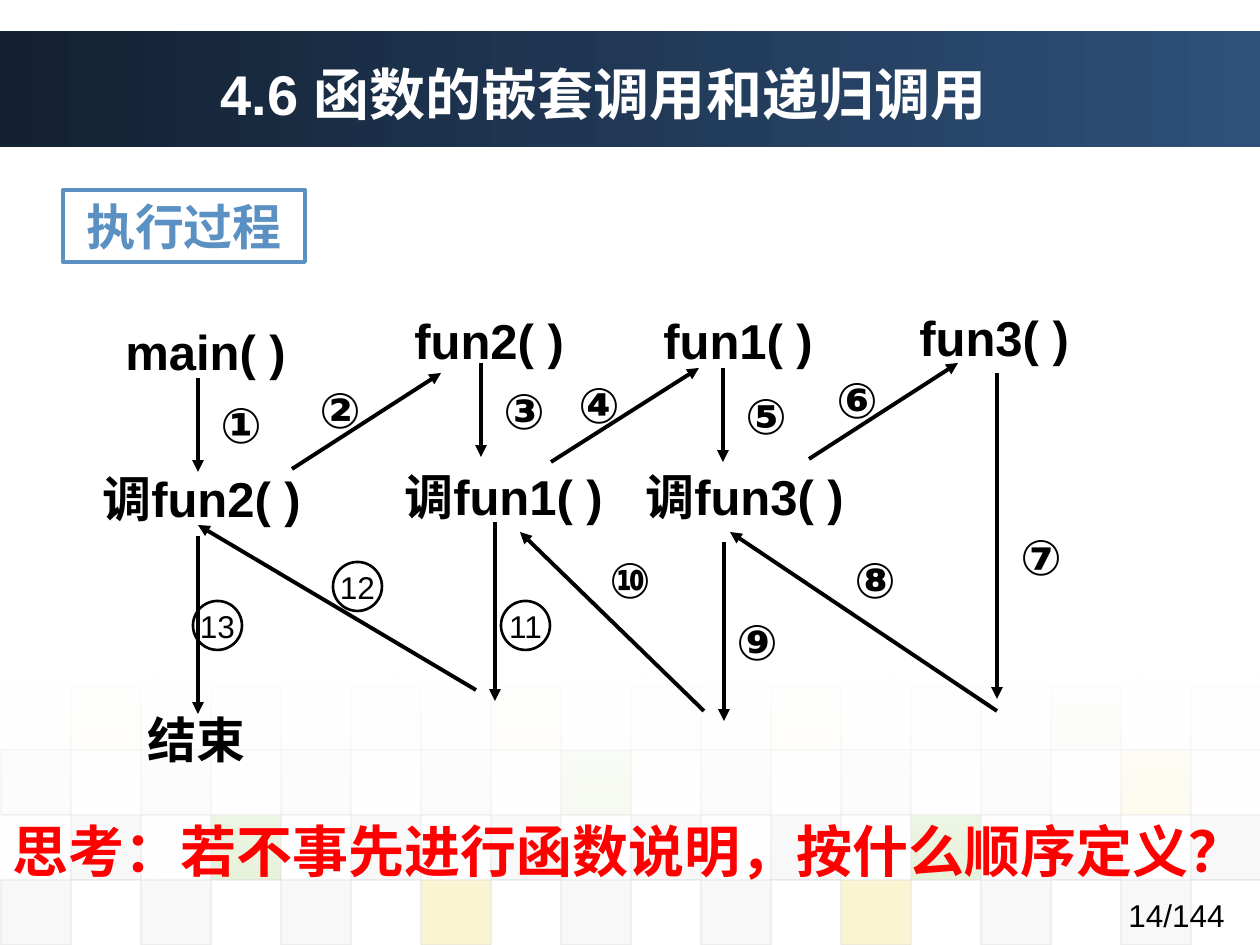
import pptx
import pptx.util
import pptx.dml.color
import pptx.enum.shapes
import pptx.enum.text
import pptx.oxml.ns
from lxml import etree

PX = 914400 / 126
SHAPES = pptx.enum.shapes.MSO_SHAPE
ALIGN = pptx.enum.text.PP_ALIGN
ANCHOR = pptx.enum.text.MSO_ANCHOR
qn = pptx.oxml.ns.qn

TILE_COLOURS = {"D": "DDDDDD", "L": "EAEAEA", "Y": "EFC821", "G": "8AC246"}
# Per row: first column, fill opacity in percent, colours of every second tile
TILE_ROWS = [
    (1, 5, "YLLYDYLGL"),
    (0, 10, "DDDDGDDDY"),
    (1, 20, "DGDDDDGDD"),
    (0, 20, "DDDYDDYDD"),
]

# Function names and calls: text, left, top
CALLS = [
    ("main( )", 23, 15), ("fun2( )", 312, 4), ("fun1( )", 561, 4), ("fun3( )", 817, 1),
    ("调fun2( )", 0, 162), ("调fun1( )", 302, 160), ("调fun3( )", 543, 160),
    ("结束", 45, 403),
]

# Steps in order: number, its left and top, arrow start and end
STEPS = [
    ("①", 118, 88, (108, 78), (108, 172)),
    ("②", 217, 73, (202, 169), (351, 73)),
    ("③", 401, 74, (391, 63), (391, 157)),
    ("④", 476, 68, (461, 162), (609, 68)),
    ("⑤", 643, 79, (633, 68), (633, 162)),
    ("⑥", 734, 63, (719, 159), (868, 63)),
    ("⑦", 918, 220, (907, 73), (907, 399)),
    ("⑧", 752, 243, (907, 411), (640, 232)),
    ("⑨", 634, 305, (634, 242), (634, 421)),
    ("⑩", 507, 243, (614, 411), (430, 232)),
    ("11", 411, 301, (405, 222), (405, 401)),
    ("12", 243, 262, (386, 390), (108, 225)),
    ("13", 103, 301, (108, 236), (108, 414)),
]


def emu(*lengths):
    return [round(length * PX) for length in lengths]


def colour(hex_value):
    return pptx.dml.color.RGBColor.from_string(hex_value)


def set_opacity(shape, *percents):
    """Give the shape's colours, in order, these opacities."""
    for tone, percent in zip(shape._element.iter(qn("a:srgbClr")), percents):
        etree.SubElement(tone, qn("a:alpha"), val=str(percent * 1000))


def add_box(slide, left, top, width, height, kind=SHAPES.RECTANGLE,
            fill=None, gradient=None, angle=0, line=None, weight=1):
    box = slide.shapes.add_shape(kind, *emu(left, top, width, height))
    box.shadow.inherit = False
    if gradient:
        box.fill.gradient()
        box.fill.gradient_angle = angle
        for stop, tone in zip(box.fill.gradient_stops, gradient):
            stop.color.rgb = colour(tone)
            stop.position = 0 if stop is None else stop.position
    elif fill:
        box.fill.solid()
        box.fill.fore_color.rgb = colour(fill)
    else:
        box.fill.background()
    if line:
        box.line.color.rgb = colour(line)
        box.line.width = pptx.util.Pt(weight)
    else:
        box.line.fill.background()
    return box


def write(shape, text, size=28, tone="000000", bold=True, align=ALIGN.LEFT,
          anchor=ANCHOR.TOP, wrap=True):
    frame = shape.text_frame
    frame.word_wrap = wrap
    frame.vertical_anchor = anchor
    paragraph = frame.paragraphs[0]
    paragraph.alignment = align
    run = paragraph.add_run()
    run.text = text
    run.font.name = "Arial"
    run.font.size = pptx.util.Pt(size)
    run.font.bold = bold
    run.font.color.rgb = colour(tone)


def add_label(slide, text, left, top, width, height, **text_format):
    write(slide.shapes.add_textbox(*emu(left, top, width, height)), text, **text_format)


def add_arrow(slide, start, end):
    arrow = slide.shapes.add_connector(
        pptx.enum.shapes.MSO_CONNECTOR.STRAIGHT, *emu(*start, *end))
    arrow.line.color.rgb = colour("000000")
    arrow.line.width = pptx.util.Pt(2.25)
    etree.SubElement(arrow.line._get_or_add_ln(), qn("a:tailEnd"), type="triangle")
    etree.SubElement(arrow._element.spPr, qn("a:effectLst"))


def add_tiles(slide, left, top):
    """Checkered floor that fades out towards the top."""
    pitch_x, pitch_y = 70, 65
    for row, (first, opacity, codes) in enumerate(TILE_ROWS):
        for index, code in enumerate(codes):
            tile = add_box(slide, left + (first + 2 * index) * pitch_x, top + row * pitch_y,
                           pitch_x, pitch_y, fill=TILE_COLOURS[code],
                           line="DDDDDD", weight=0.75)
            set_opacity(tile, opacity, 60)
    veil = add_box(slide, left - 1, top - 8, 1260, 204,
                   gradient=("FFFFFF", "FFFFFF"), angle=270)
    set_opacity(veil, 90, 0)


def add_header(slide, left, top, width, height):
    add_box(slide, left, top, width, height, gradient=("132132", "2E507A"))
    add_label(slide, "4.6 函数的嵌套调用和递归调用", left + 208, top + 4, width - 260, height,
              size=32, tone="FFFFFF", anchor=ANCHOR.MIDDLE)


def add_topic(slide, left, top, width, height):
    topic = add_box(slide, left, top, width, height, line="5A90C2", weight=2.25)
    write(topic, "执行过程", tone="5A90C2", align=ALIGN.CENTER, anchor=ANCHOR.MIDDLE)


def add_call_flow(slide, left, top):
    for call, x, y in CALLS:
        add_label(slide, call, left + x, top + y, 260, 72)
    for number, x, y, start, end in STEPS:
        add_arrow(slide, (left + start[0], top + start[1]), (left + end[0], top + end[1]))
        if number.isdecimal():
            circle = add_box(slide, left + x, top + y, 49, 49, kind=SHAPES.OVAL,
                             line="000000", weight=1.5)
            write(circle, number, size=18, bold=False, align=ALIGN.CENTER,
                  anchor=ANCHOR.MIDDLE, wrap=False)
        else:
            add_label(slide, number, left + x, top + y, 82, 72)


def add_footer(slide, left, top, width):
    add_label(slide, "思考：若不事先进行函数说明，按什么顺序定义？", left, top, width, 81,
              size=32, tone="FF0000")
    add_label(slide, "14/144", left + width - 144, top + 80, 139, 50, size=18, bold=False)


def main():
    deck = pptx.Presentation()
    deck.slide_width, deck.slide_height = emu(1260, 945)
    slide = deck.slides.add_slide(deck.slide_layouts[6])
    add_tiles(slide, 1, 685)
    add_header(slide, 0, 31, 1260, 116)
    add_topic(slide, 63, 190, 242, 72)
    add_call_flow(slide, 90, 300)
    add_footer(slide, 0, 810, 1260)
    deck.save("out.pptx")


if __name__ == "__main__":
    main()
